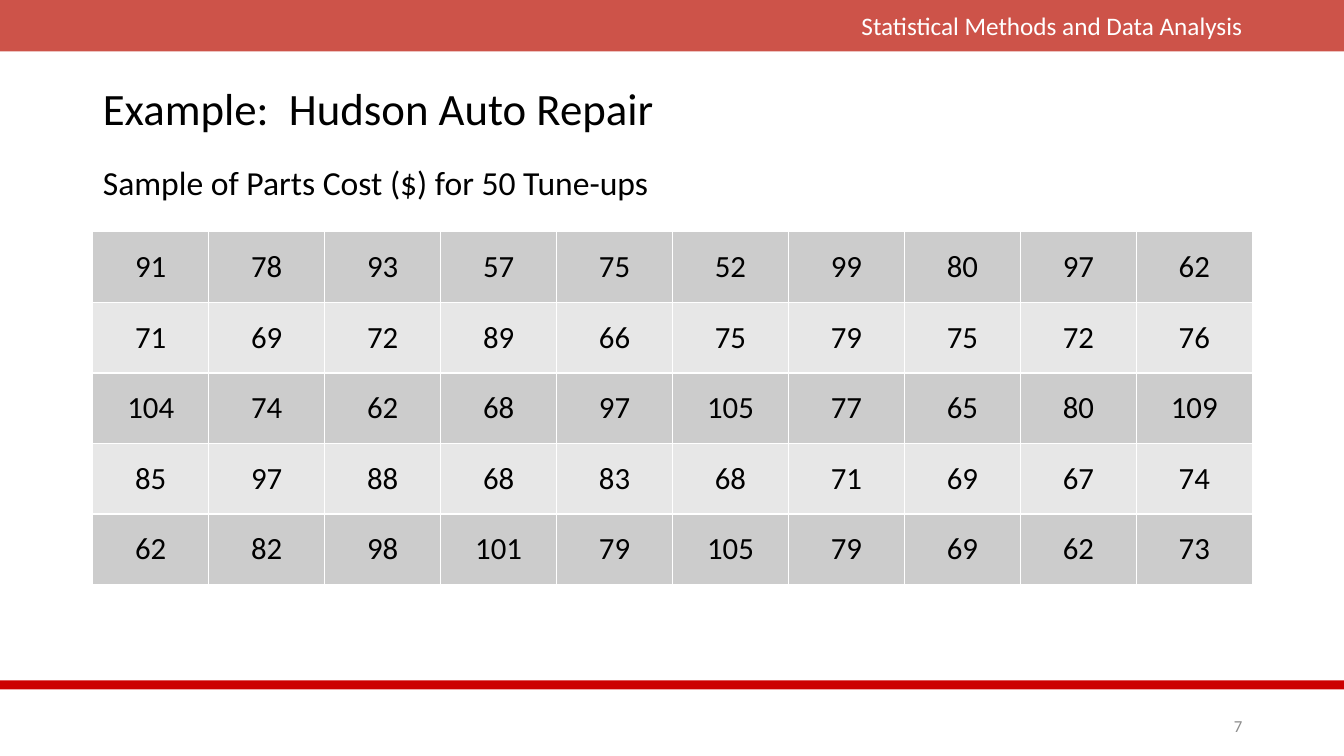
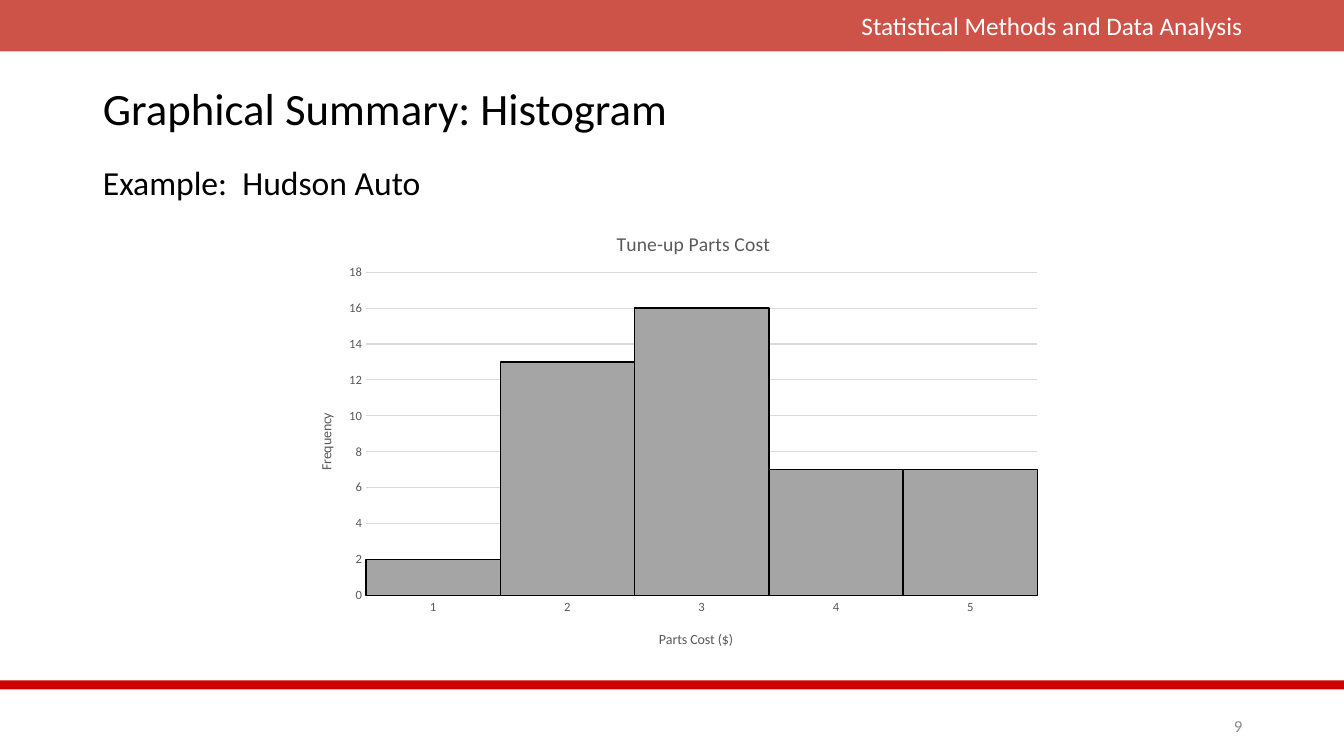
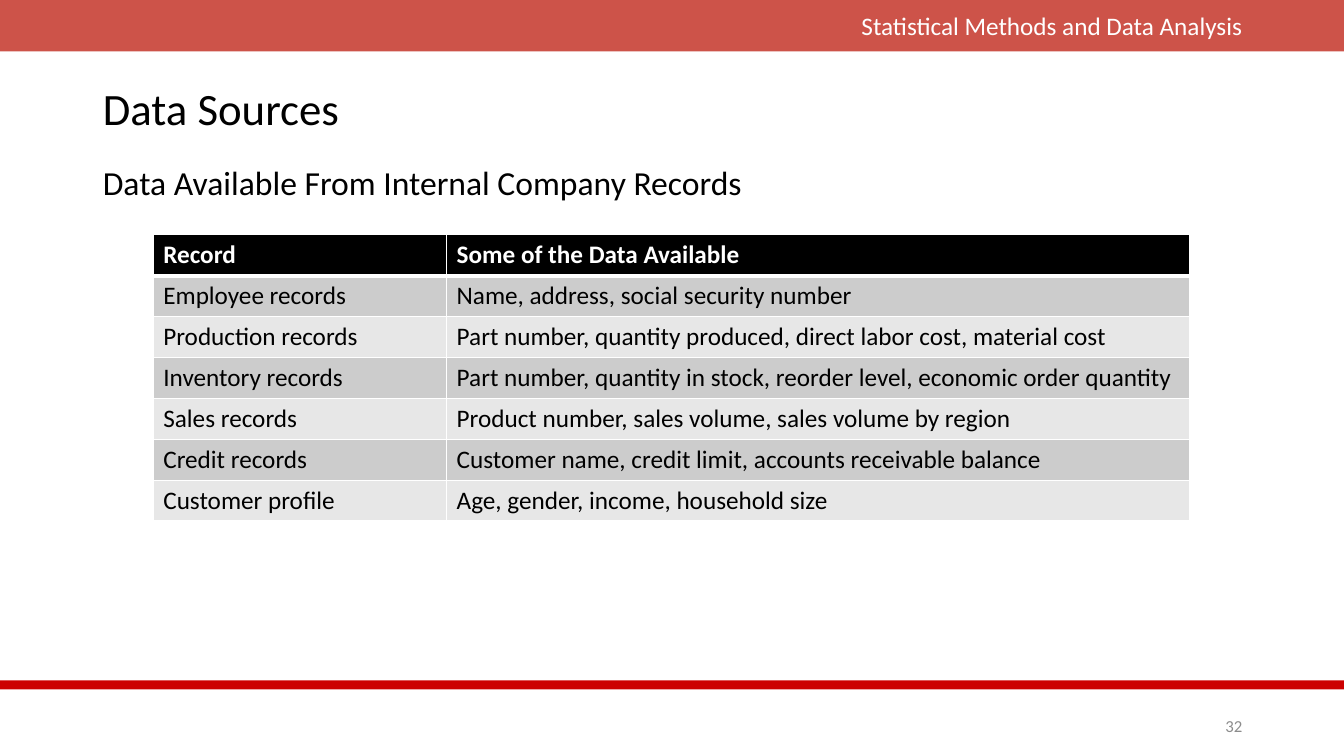
import pptx
import pptx.chart.data
import pptx.dml.color
import pptx.enum.chart
import pptx.enum.shapes
import pptx.enum.text
import pptx.oxml
import pptx.oxml.ns
import pptx.util

Inches, Pt = pptx.util.Inches, pptx.util.Pt
qn = pptx.oxml.ns.qn
ALIGN = pptx.enum.text.PP_ALIGN
ANCHOR = pptx.enum.text.MSO_ANCHOR

# Shared look
FONT = "Calibri"
WIDTH, HEIGHT = 13.33, 7.5
MARGIN, CONTENT_W = 0.92, 11.5
BLACK, WHITE = "000000", "FFFFFF"
BAND_RED, RULE_RED = "BF2317", "CC0000"
ROW_FILLS = ("CCCCCC", "E7E7E7")
NUMBER_GREY, CHART_GREY, GRID_GREY, BAR_GREY = "8C8C8C", "595959", "D9D9D9", "A5A5A5"
COURSE = "Statistical Methods and Data Analysis"

PARTS_COSTS = [
    [91, 78, 93, 57, 75, 52, 99, 80, 97, 62],
    [71, 69, 72, 89, 66, 75, 79, 75, 72, 76],
    [104, 74, 62, 68, 97, 105, 77, 65, 80, 109],
    [85, 97, 88, 68, 83, 68, 71, 69, 67, 74],
    [62, 82, 98, 101, 79, 105, 79, 69, 62, 73],
]
FREQUENCIES = [2, 13, 16, 7, 7]
RECORDS = [
    ("Record", "Some of the Data Available"),
    ("Employee records", "Name, address, social security number"),
    ("Production records", "Part number, quantity produced, direct labor cost, material cost"),
    ("Inventory records", "Part number, quantity in stock, reorder level, economic order quantity"),
    ("Sales records", "Product number, sales volume, sales volume by region"),
    ("Credit records", "Customer name, credit limit, accounts receivable balance"),
    ("Customer profile", "Age, gender, income, household size"),
]


def rgb(color):
    return pptx.dml.color.RGBColor.from_string(color)


def box_inches(box):
    return [Inches(v) for v in box]


def set_font(font, size, color, bold=False):
    font.name, font.size, font.bold = FONT, Pt(size), bold
    font.color.rgb = rgb(color)


def write(tf, text, size, color, align=ALIGN.LEFT, bold=False):
    """Fill a text frame with one formatted paragraph."""
    tf.word_wrap = True
    p = tf.paragraphs[0]
    p.text = text
    p.alignment = align
    set_font(p.font, size, color, bold)
    return p


# Parts every slide shares
def add_bar(slide, box, color, opacity=100):
    sp = slide.shapes.add_shape(pptx.enum.shapes.MSO_SHAPE.RECTANGLE, *box_inches(box))
    sp.shadow.inherit = False
    sp.fill.solid()
    sp.fill.fore_color.rgb = rgb(color)
    sp.line.fill.background()
    if opacity < 100:
        clr = sp.element.spPr.find(".//" + qn("a:srgbClr"))
        clr.append(pptx.oxml.parse_xml(
            f'<a:alpha {pptx.oxml.ns.nsdecls("a")} val="{opacity * 1000}"/>'))


def add_right_text(slide, box, text, size, color, anchor):
    tf = slide.shapes.add_textbox(*box_inches(box)).text_frame
    tf.vertical_anchor = anchor
    write(tf, text, size, color, ALIGN.RIGHT)


def fill_placeholder(sp, box, text, size, anchor):
    sp.left, sp.top, sp.width, sp.height = box_inches(box)
    tf = sp.text_frame
    tf.auto_size = pptx.enum.text.MSO_AUTO_SIZE.NONE
    tf.vertical_anchor = anchor
    p = write(tf, text, size, BLACK)
    p.line_spacing = 0.9
    return p


def add_base_slide(prs, title, subtitle, number):
    slide = prs.slides.add_slide(prs.slide_layouts[1])
    right = MARGIN + CONTENT_W
    # Header band, footer rule and page number
    add_bar(slide, (0, 0, WIDTH, 0.51), BAND_RED, opacity=78)
    add_right_text(slide, (right - 4.76, 0.05, 4.76, 0.4), COURSE, 18, WHITE, ANCHOR.TOP)
    add_bar(slide, (0, 6.75, WIDTH, 0.09), RULE_RED)
    add_right_text(slide, (right - 0.69, 7.05, 0.69, 0.3), str(number), 12,
                   NUMBER_GREY, ANCHOR.MIDDLE)
    # Title and unbulleted subtitle
    fill_placeholder(slide.shapes.title, (MARGIN, 0.7, CONTENT_W, 0.8), title, 32, ANCHOR.MIDDLE)
    p = fill_placeholder(slide.placeholders[1], (MARGIN, 1.6, CONTENT_W, 5), subtitle, 24, ANCHOR.TOP)
    p.space_before = Pt(10)
    pPr = p._p.get_or_add_pPr()
    pPr.set("marL", "0")
    pPr.set("indent", "0")
    pPr.insert_element_before(pptx.oxml.parse_xml(
        f'<a:buNone {pptx.oxml.ns.nsdecls("a")}/>'), "a:tabLst", "a:defRPr", "a:extLst")
    return slide


# Tables
def set_borders(cell, top=1, bottom=1):
    tcPr = cell._tc.get_or_add_tcPr()
    for i, (side, pts) in enumerate((("L", 1), ("R", 1), ("T", top), ("B", bottom))):
        tcPr.insert(i, pptx.oxml.parse_xml(
            f'<a:ln{side} {pptx.oxml.ns.nsdecls("a")} w="{Pt(pts)}"><a:solidFill>'
            f'<a:srgbClr val="{WHITE}"/></a:solidFill></a:ln{side}>'))


def add_banded_table(slide, box, rows, col_widths, size, header=False,
                     align=ALIGN.LEFT, anchor=ANCHOR.TOP, side_margin=0.1):
    table = slide.shapes.add_table(len(rows), len(col_widths), *box_inches(box)).table
    table.first_row, table.horz_banding = header, False
    for col, width in zip(table.columns, col_widths):
        col.width = Inches(width)
    for r, values in enumerate(rows):
        table.rows[r].height = Inches(box[3] / len(rows))
        is_head = header and r == 0
        for c, value in enumerate(values):
            cell = table.cell(r, c)
            cell.margin_left = cell.margin_right = Inches(side_margin)
            cell.vertical_anchor = anchor
            write(cell.text_frame, str(value), size, WHITE if is_head else BLACK, align, is_head)
            cell.fill.solid()
            cell.fill.fore_color.rgb = rgb(BLACK if is_head else ROW_FILLS[(r - header) % 2])
            set_borders(cell, top=3 if header and r == 1 else 1, bottom=3 if is_head else 1)


# Histogram
def place_in_chart(element, chart_box, left, top, size=None):
    """Fix a chart part at an offset in inches from the chart's corner."""
    for old in element.findall(qn("c:layout")):
        element.remove(old)
    values = {"x": left / chart_box[2], "y": top / chart_box[3]}
    if size:
        values.update(w=size[0] / chart_box[2], h=size[1] / chart_box[3])
    target = '<c:layoutTarget val="inner"/>' if size else ""
    modes = "".join(f'<c:{k}Mode val="edge"/>' for k in "xy")
    numbers = "".join(f'<c:{k} val="{v:.4f}"/>' for k, v in values.items())
    layout = pptx.oxml.parse_xml(
        f'<c:layout {pptx.oxml.ns.nsdecls("c")}><c:manualLayout>{target}{modes}{numbers}'
        '</c:manualLayout></c:layout>')
    element.insert(0 if element.find(qn("c:tx")) is None else 1, layout)


def set_chart_title(title, text, size, chart_box, left, top):
    p = title.text_frame.paragraphs[0]
    p.text = text
    set_font(p.font, size, CHART_GREY)
    place_in_chart(title.element, chart_box, left, top)


def set_line(line, color, width):
    line.color.rgb = rgb(color)
    line.width = Pt(width)


def add_histogram(slide, box, values):
    data = pptx.chart.data.CategoryChartData()
    data.categories = [str(i + 1) for i in range(len(values))]
    data.add_series("Series 1", values)
    chart = slide.shapes.add_chart(
        pptx.enum.chart.XL_CHART_TYPE.COLUMN_CLUSTERED, *box_inches(box), data).chart
    chart.has_legend = False
    set_font(chart.font, 10, BLACK)
    chart.has_title = True
    set_chart_title(chart.chart_title, "Tune-up Parts Cost", 14, box, 3.19, 0.21)

    # Touching bars
    plot = chart.plots[0]
    plot.gap_width, plot.vary_by_categories = 0, False
    bars = plot.series[0].format
    bars.fill.solid()
    bars.fill.fore_color.rgb = rgb(BAR_GREY)
    set_line(bars.line, BLACK, 1)

    # Axes
    cat_axis, val_axis = chart.category_axis, chart.value_axis
    for axis in (cat_axis, val_axis):
        axis.major_tick_mark = axis.minor_tick_mark = pptx.enum.chart.XL_TICK_MARK.NONE
        set_font(axis.tick_labels.font, 9, CHART_GREY)
    set_line(cat_axis.format.line, GRID_GREY, 0.75)
    val_axis.format.line.fill.background()
    val_axis.minimum_scale, val_axis.maximum_scale, val_axis.major_unit = 0, 18, 2
    set_line(val_axis.major_gridlines.format.line, GRID_GREY, 0.75)
    set_chart_title(cat_axis.axis_title, "Parts Cost ($)", 10, box, 3.62, 4.19)
    set_chart_title(val_axis.axis_title, "Frequency", 10, box, 0.23, 2.03)
    body = val_axis.axis_title.element.find(".//" + qn("a:bodyPr"))
    body.set("rot", "-5400000")
    body.set("vert", "horz")
    plot_area = chart.element.find(".//" + qn("c:plotArea"))
    place_in_chart(plot_area, box, 0.74, 0.66, size=(6.66, 3.21))


def main():
    prs = pptx.Presentation()
    prs.slide_width, prs.slide_height = Inches(WIDTH), Inches(HEIGHT)

    slide = add_base_slide(prs, "Example:  Hudson Auto Repair",
                           "Sample of Parts Cost ($) for 50 Tune-ups", 7)
    add_banded_table(slide, (MARGIN, 2.3, CONTENT_W, 3.5), PARTS_COSTS, [CONTENT_W / 10] * 10, 22,
                     align=ALIGN.CENTER, anchor=ANCHOR.MIDDLE, side_margin=0.16)

    slide = add_base_slide(prs, "Graphical Summary: Histogram", "Example:  Hudson Auto", 9)
    add_histogram(slide, (2.89, 2.04, 7.55, 4.56), FREQUENCIES)

    slide = add_base_slide(prs, "Data Sources", "Data Available From Internal Company Records", 32)
    add_banded_table(slide, (1.52, 2.33, 10.28, 2.84), RECORDS, [2.91, 7.37], 18, header=True)

    prs.save("out.pptx")


if __name__ == "__main__":
    main()
